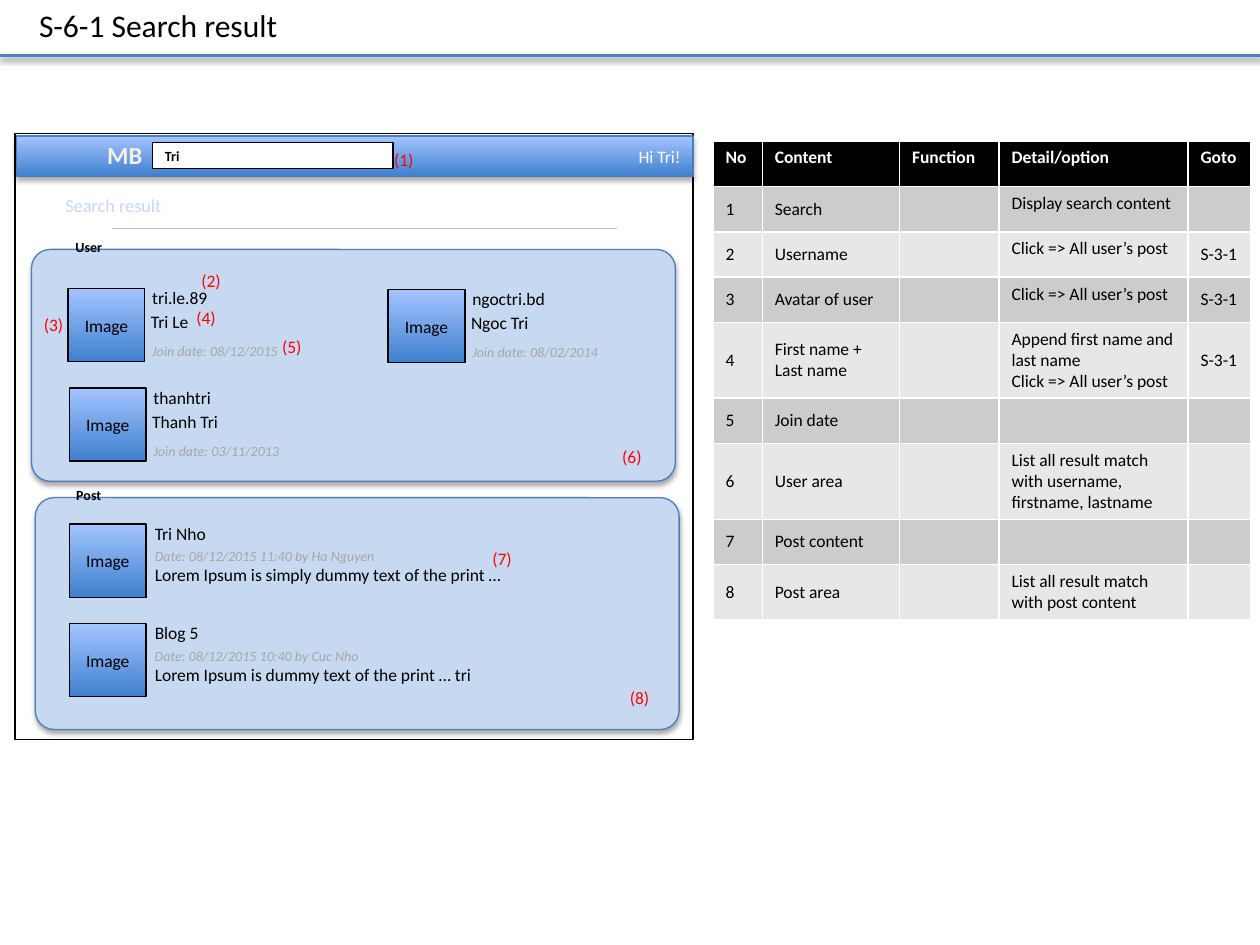
from dataclasses import dataclass

from lxml import etree
from pptx import Presentation
from pptx.dml.color import RGBColor
from pptx.enum.shapes import MSO_CONNECTOR, MSO_SHAPE
from pptx.enum.text import MSO_ANCHOR, MSO_AUTO_SIZE, PP_ALIGN
from pptx.oxml.ns import qn
from pptx.util import Inches, Pt

RECTANGLE, ROUNDED = MSO_SHAPE.RECTANGLE, MSO_SHAPE.ROUNDED_RECTANGLE
STRAIGHT = MSO_CONNECTOR.STRAIGHT
LEFT, CENTER, RIGHT, JUSTIFY = PP_ALIGN.LEFT, PP_ALIGN.CENTER, PP_ALIGN.RIGHT, PP_ALIGN.JUSTIFY
TOP, MIDDLE = MSO_ANCHOR.TOP, MSO_ANCHOR.MIDDLE
FIT_SHAPE, NO_FIT = MSO_AUTO_SIZE.SHAPE_TO_FIT_TEXT, MSO_AUTO_SIZE.NONE


@dataclass(frozen=True)
class Theme:
    """Colours, type sizes and font of the slide."""
    font: str = "Calibri"
    black: str = "000000"
    white: str = "FFFFFF"
    red: str = "FF0000"
    gray: str = "A6A6A6"
    rule: str = "BFBFBF"
    accent: str = "4F81BD"
    border: str = "4B7EBC"
    panel: str = "C6D9F1"
    logo: str = "F4F1E3"
    gradient: tuple = ("3F80CE", "A4C4FF")
    bands: tuple = ("CCCCCC", "E7E7E7")
    title: float = 18
    brand: float = 14
    heading: float = 10.5
    body: float = 10
    small: float = 8


THEME = Theme()
COLUMN_WIDTHS = (0.39, 1.09, 0.79, 1.5, 0.5)
ROW_HEIGHTS = (0.36, 0.36, 0.36, 0.36, 0.6, 0.36, 0.6, 0.36, 0.44)
ROWS = (
    ("No", "Content", "Function", "Detail/option", "Goto"),
    ("1", "Search", "", "Display search content", ""),
    ("2", "Username", "", "Click => All user’s post", "S-3-1"),
    ("3", "Avatar of user", "", "Click => All user’s post", "S-3-1"),
    ("4", "First name + Last name", "",
     "Append first name and last name\nClick => All user’s post", "S-3-1"),
    ("5", "Join date", "", "", ""),
    ("6", "User area", "", "List all result match with username, firstname, lastname", ""),
    ("7", "Post content", "", "", ""),
    ("8", "Post area", "", "List all result match with post content", ""),
)
USERS = (
    (0.29, 0.31, "tri.le.89", 0.64, "Tri Le", "08/12/2015"),
    (2.83, 0.32, "ngoctri.bd", 0.79, "Ngoc Tri", "08/02/2014"),
    (0.3, 1.1, "thanhtri", 0.67, "Thanh Tri", "03/11/2013"),
)
POSTS = (
    (0.21, "Tri Nho", 0.62, "Date: 08/12/2015 11:40 by Ha Nguyen", 1.99,
     "Lorem Ipsum is simply dummy text of the print …"),
    (1, "Blog 5", 0.55, "Date: 08/12/2015 10:40 by Cuc Nho", 1.87,
     "Lorem Ipsum is dummy text of the print … tri"),
)
BADGES = ((3.03, 1.13), (1.5, 2.09), (0.25, 2.44), (1.46, 2.39),
          (2.14, 2.62), (4.84, 3.49), (3.81, 4.3), (4.9, 5.4))


def write(frame, text, size=THEME.body, color=THEME.black, align=LEFT, bold=False, italic=False):
    """Fill a text frame with one formatted run per line."""
    for index, line in enumerate(text.split("\n")):
        paragraph = frame.add_paragraph() if index else frame.paragraphs[0]
        paragraph.alignment = align
        run = paragraph.add_run()
        run.text = line
        run.font.name, run.font.size = THEME.font, Pt(size)
        run.font.color.rgb = RGBColor.from_string(color)
        run.font.bold, run.font.italic = bold, italic


def add_text(shapes, left, top, width, height, text, wrap=False, **style):
    """Add a text box that grows with its text."""
    frame = shapes.add_textbox(*map(Inches, (left, top, width, height))).text_frame
    frame.word_wrap, frame.auto_size = wrap, FIT_SHAPE
    write(frame, text, **style)


def add_shadow(effects, opacity, distance):
    """Put a soft downward shadow into an effect list."""
    shadow = etree.SubElement(effects, qn("a:outerShdw"), blurRad=str(Pt(3.1)),
                              dist=str(Pt(distance)), dir="5400000", rotWithShape="0")
    color = etree.SubElement(shadow, qn("a:srgbClr"), val=THEME.black)
    etree.SubElement(color, qn("a:alpha"), val=str(opacity * 1000))


def add_box(shapes, kind, left, top, width, height, fill=None, line=None, shadow=False,
            text="", **style):
    """Add a preset shape with a solid, gradient or empty fill."""
    shape = shapes.add_shape(kind, *map(Inches, (left, top, width, height)))
    if fill is None:
        shape.fill.background()
    elif isinstance(fill, tuple):
        shape.fill.gradient()
        shape.fill.gradient_angle = 90
        for stop, color in zip(shape.fill.gradient_stops, fill):
            stop.color.rgb = RGBColor.from_string(color)
    else:
        shape.fill.solid()
        shape.fill.fore_color.rgb = RGBColor.from_string(fill)
    if line is None:
        shape.line.fill.background()
    else:
        shape.line.color.rgb = RGBColor.from_string(line)
        shape.line.width = Pt(0.75)
    shape.shadow.inherit = False
    if shadow:
        add_shadow(shape._element.spPr.find(qn("a:effectLst")), 35, 1.8)
    if text:
        shape.text_frame.vertical_anchor = MIDDLE
        write(shape.text_frame, text, **style)
    return shape


def add_rule(shapes, left, right, top, color, width, shadow=False):
    """Add a horizontal line."""
    line = shapes.add_connector(STRAIGHT, *map(Inches, (left, top, right, top)))
    line.line.color.rgb = RGBColor.from_string(color)
    line.line.width = Pt(width)
    effects = etree.SubElement(line._element.spPr, qn("a:effectLst"))
    if shadow:
        add_shadow(effects, 38, 1.6)


def add_title(slide):
    """Place the slide title and the rule below it."""
    title = slide.shapes.title
    title.left, title.top, title.width, title.height = map(Inches, (0.21, 0, 2.12, 0.4))
    frame = title.text_frame
    frame.word_wrap, frame.auto_size, frame.vertical_anchor = False, NO_FIT, TOP
    write(frame, "S-6-1 Search result", size=THEME.title)
    add_rule(slide.shapes, 0, 10, 0.44, THEME.accent, 2, shadow=True)


def add_header(shapes, left, top):
    """Draw the top bar with the search field and the page heading."""
    add_box(shapes, RECTANGLE, left, top, 5.37, 0.32, THEME.gradient, THEME.border, True,
            text="Hi Tri!", color=THEME.white, align=RIGHT)
    add_text(shapes, left + 0.62, top - 0.02, 0.48, 0.34, "MB", size=THEME.brand,
             color=THEME.logo, align=CENTER, bold=True)
    add_box(shapes, RECTANGLE, left + 1.08, top + 0.05, 1.91, 0.21, THEME.white, THEME.black,
            text="Tri", size=THEME.small, bold=True)
    add_text(shapes, left + 0.29, top + 0.41, 0.98, 0.28, "Search result",
             size=THEME.heading, color=THEME.panel)
    add_rule(shapes, left + 0.76, left + 4.77, top + 0.73, THEME.rule, 0.25)


def add_panel(shapes, left, top, label):
    """Draw a rounded panel with a label on its top edge."""
    panel = add_box(shapes, ROUNDED, left, top, 5.11, 1.84, THEME.panel, THEME.border, True)
    panel.adjustments[0] = 0.081
    add_box(shapes, ROUNDED, 0.41, top - 0.16, 0.59, 0.28, text=label,
            size=THEME.small, align=CENTER, bold=True)


def add_avatar(shapes, left, top):
    """Draw an image stand-in."""
    add_box(shapes, RECTANGLE, left, top, 0.61, 0.58, THEME.gradient, THEME.black,
            text="Image", align=CENTER)


def add_user(shapes, left, top, username, width, full_name, joined):
    """Draw one user card."""
    add_text(shapes, left + 0.57, top - 0.06, width, 0.27, username)
    add_text(shapes, left + 0.56, top + 0.13, 0.74, 0.27, full_name, True, align=JUSTIFY)
    add_text(shapes, left + 0.57, top + 0.38, 1.24, 0.24, f"Join date: {joined}",
             size=THEME.small, color=THEME.gray, italic=True)
    add_avatar(shapes, left, top)


def add_post(shapes, left, top, heading, heading_width, date, date_width, body):
    """Draw one post entry."""
    add_text(shapes, left + 0.58, top - 0.06, heading_width, 0.27, heading)
    add_text(shapes, left + 0.58, top + 0.14, date_width, 0.24, date,
             size=THEME.small, color=THEME.gray, italic=True)
    add_text(shapes, left + 0.58, top + 0.27, 3.51, 0.27, body, True, align=JUSTIFY)
    add_avatar(shapes, left, top)


def add_screen(shapes, left, top):
    """Draw the search result screen with its numbered marks."""
    add_box(shapes, RECTANGLE, left, top, 5.38, 4.81, THEME.white, THEME.black)
    add_header(shapes, left + 0.01, top + 0.02)
    users_left, users_top = left + 0.13, top + 0.92
    posts_left, posts_top = left + 0.16, top + 2.89
    add_panel(shapes, users_left, users_top, "User")
    add_panel(shapes, posts_left, posts_top, "Post")
    for across, down, *details in USERS:
        add_user(shapes.add_group_shape().shapes, users_left + across, users_top + down, *details)
    for down, *details in POSTS:
        add_post(shapes, posts_left + 0.27, posts_top + down, *details)
    for number, (across, down) in enumerate(BADGES, 1):
        add_text(shapes, across, down, 0.36, 0.27, f"({number})", color=THEME.red)


def add_details(shapes, left, top):
    """Build the table that explains the numbered marks."""
    table = shapes.add_table(len(ROWS), len(COLUMN_WIDTHS), Inches(left), Inches(top),
                             Inches(sum(COLUMN_WIDTHS)), Inches(sum(ROW_HEIGHTS))).table
    for column, width in zip(table.columns, COLUMN_WIDTHS):
        column.width = Inches(width)
    for row, height in zip(table.rows, ROW_HEIGHTS):
        row.height = Inches(height)
    for row, texts in enumerate(ROWS):
        header = row == 0
        fill = THEME.black if header else THEME.bands[(row - 1) % 2]
        for column, text in enumerate(texts):
            cell = table.cell(row, column)
            cell.fill.solid()
            cell.fill.fore_color.rgb = RGBColor.from_string(fill)
            cell.vertical_anchor = TOP if header or column == 3 else MIDDLE
            if text:
                write(cell.text_frame, text, bold=header,
                      color=THEME.white if header else THEME.black)
            else:
                cell.text_frame.paragraphs[0].font.size = Pt(THEME.body)


presentation = Presentation()
presentation.slide_width, presentation.slide_height = Inches(10), Inches(7.5)
slide = presentation.slides.add_slide(presentation.slide_layouts[5])
add_title(slide)
add_screen(slide.shapes, 0.12, 1.06)
add_details(slide.shapes, 5.66, 1.12)
presentation.save("out.pptx")
